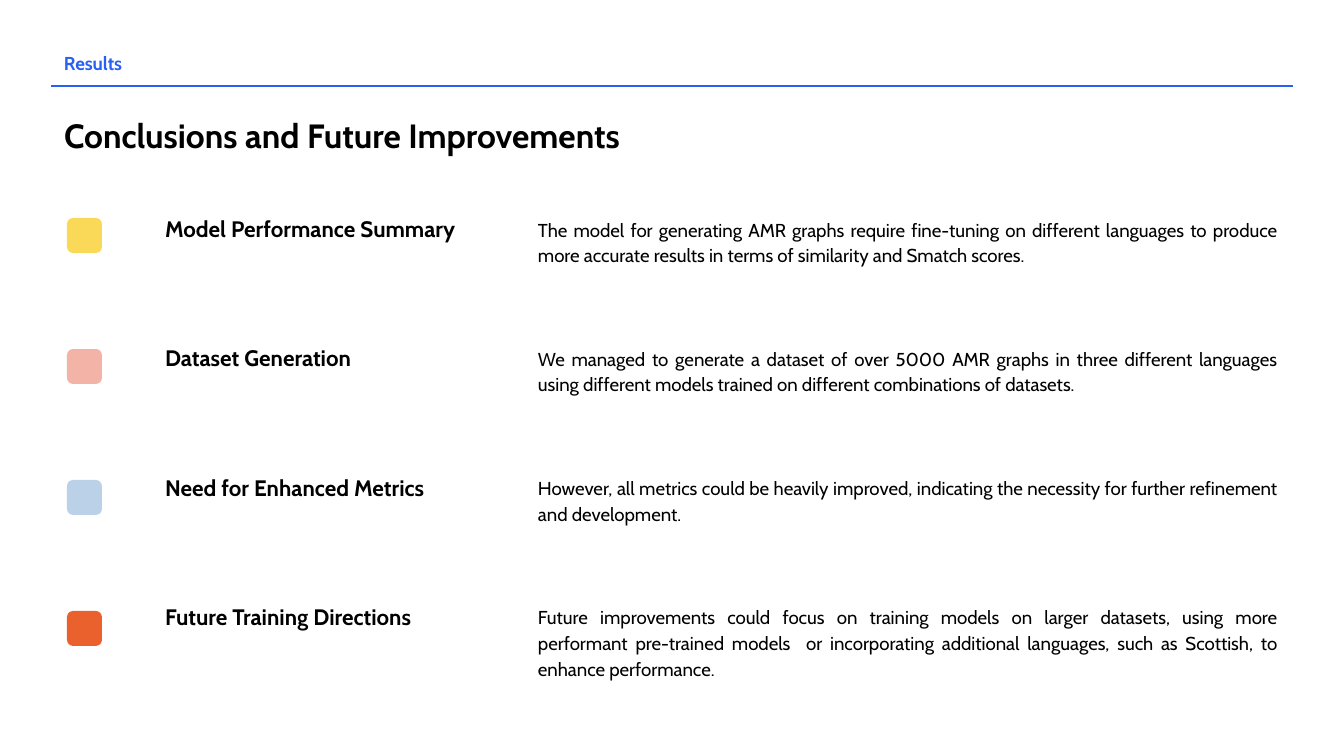
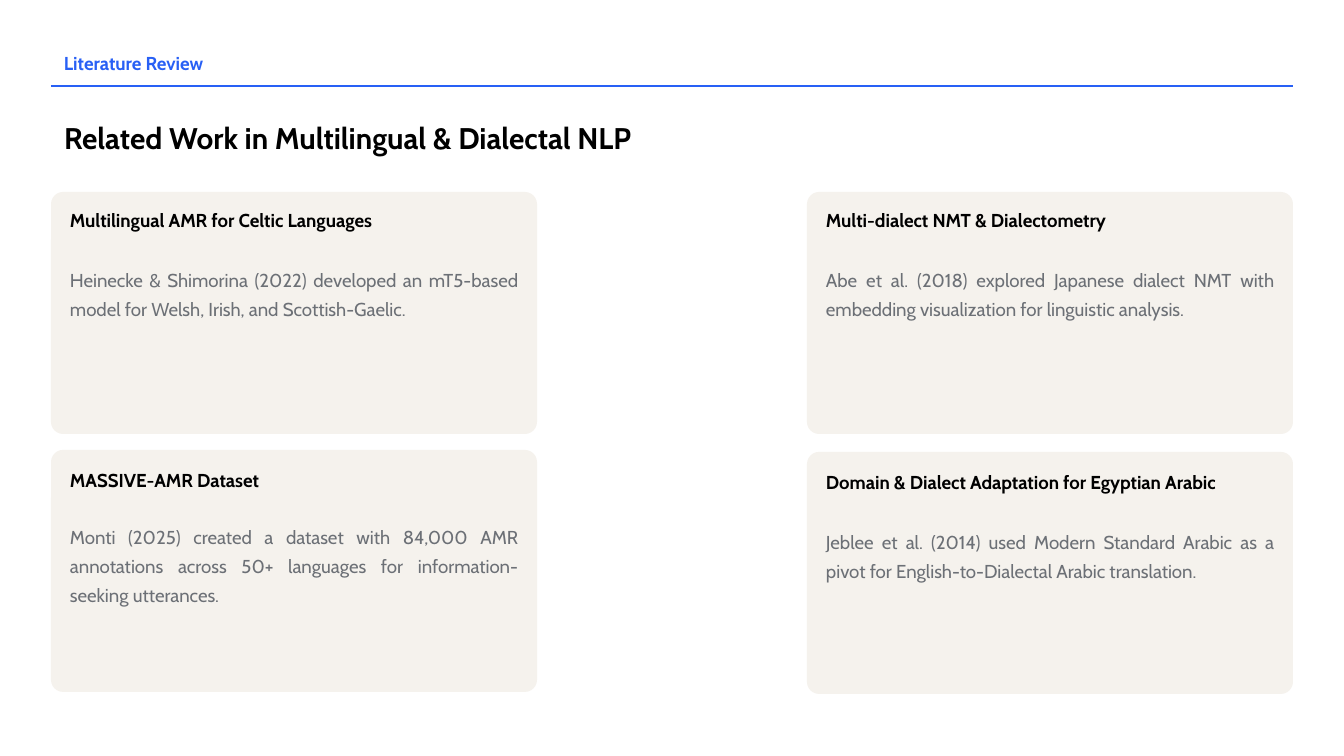
from dataclasses import dataclass

from lxml.etree import SubElement
from pptx import Presentation
from pptx.dml.color import RGBColor
from pptx.enum.shapes import MSO_CONNECTOR, MSO_SHAPE
from pptx.enum.text import MSO_ANCHOR, PP_ALIGN
from pptx.oxml.ns import qn
from pptx.slide import Slide
from pptx.util import Emu, Pt

SLIDE_WIDTH, SLIDE_HEIGHT = 1344, 756
EMU_PER_PX = 9144000 / SLIDE_WIDTH


def px(length: int) -> Emu:
    return Emu(round(length * EMU_PER_PX))


@dataclass(frozen=True)
class Theme:
    font: str = "Cabin"
    ink: str = "000000"
    accent: str = "2860F5"
    muted: str = "6C7076"
    card: str = "F5F2ED"
    background: str = "FFFFFF"
    title_size: int = 18
    long_title_size: int = 16
    topic_size: int = 12
    text_size: int = 10
    rule_width: float = 0.75


THEME = Theme()


@dataclass(frozen=True)
class Box:
    left: int
    top: int
    width: int
    height: int


@dataclass(frozen=True)
class TextStyle:
    size: int = THEME.text_size
    color: str = THEME.ink
    bold: bool = False
    anchor: MSO_ANCHOR = MSO_ANCHOR.TOP
    align: PP_ALIGN = PP_ALIGN.LEFT
    line_spacing: float = 1.0
    space_after: int = 0
    inset_x: int = 13
    inset_y: int = 13


@dataclass(frozen=True)
class Conclusion:
    color: str
    topic: str
    detail: str


@dataclass(frozen=True)
class RelatedWork:
    left: int
    top: int
    heading_top: int
    summary_top: int
    heading: str
    summary: str


SECTION = TextStyle(color=THEME.accent, bold=True, anchor=MSO_ANCHOR.MIDDLE)
TOPIC = TextStyle(size=THEME.topic_size, bold=True)
DETAIL = TextStyle(align=PP_ALIGN.JUSTIFY, line_spacing=1.15, space_after=10, inset_x=0)
CARD_HEADING = TextStyle(bold=True, anchor=MSO_ANCHOR.MIDDLE, inset_y=0)
SUMMARY = TextStyle(color=THEME.muted, align=PP_ALIGN.JUSTIFY, line_spacing=1.3, space_after=20)

MARGIN = 51
RULE_Y = 86
FIRST_ROW, LAST_ROW = 202, 590
FIRST_MARKER, MARKER_PITCH, MARKER_SIZE = 218, 131, 35
LEFT_CARD, RIGHT_CARD = MARGIN, 807
CARD_PADDING = 6

CONCLUSIONS = [
    Conclusion(
        "F9D957",
        "Model Performance Summary",
        "The model for generating AMR graphs require fine-tuning on different languages "
        "to produce more accurate results in terms of similarity and Smatch scores.",
    ),
    Conclusion(
        "F3B3A6",
        "Dataset Generation",
        "We managed to generate a dataset of over 5000 AMR graphs in three different languages "
        "using different models trained on different combinations of datasets.",
    ),
    Conclusion(
        "BBD1E8",
        "Need for Enhanced Metrics",
        "However, all metrics could be heavily improved, indicating the necessity "
        "for further refinement and development.",
    ),
    Conclusion(
        "EA612D",
        "Future Training Directions",
        "Future improvements could focus on training models on larger datasets, using more "
        "performant pre-trained models  or incorporating additional languages, such as Scottish, "
        "to enhance performance.",
    ),
]

RELATED_WORKS = [
    RelatedWork(
        LEFT_CARD, 192, 195, 249,
        "Multilingual AMR for Celtic Languages",
        "Heinecke & Shimorina (2022) developed an mT5-based model for Welsh, Irish, "
        "and Scottish-Gaelic.",
    ),
    RelatedWork(
        RIGHT_CARD, 192, 195, 249,
        "Multi-dialect NMT & Dialectometry",
        "Abe et al. (2018) explored Japanese dialect NMT with embedding visualization "
        "for linguistic analysis.",
    ),
    RelatedWork(
        LEFT_CARD, 450, 455, 506,
        "MASSIVE-AMR Dataset",
        "Monti (2025) created a dataset with 84,000 AMR annotations across 50+ languages "
        "for information-seeking utterances.",
    ),
    RelatedWork(
        RIGHT_CARD, 452, 457, 511,
        "Domain & Dialect Adaptation for Egyptian Arabic",
        "Jeblee et al. (2014) used Modern Standard Arabic as a pivot "
        "for English-to-Dialectal Arabic translation.",
    ),
]


def add_text(slide: Slide, box: Box, text: str, style: TextStyle) -> None:
    frame = slide.shapes.add_textbox(
        px(box.left), px(box.top), px(box.width), px(box.height)
    ).text_frame
    frame.word_wrap = True
    frame.vertical_anchor = style.anchor
    frame.margin_left = frame.margin_right = px(style.inset_x)
    frame.margin_top = frame.margin_bottom = px(style.inset_y)
    paragraph = frame.paragraphs[0]
    paragraph.alignment = style.align
    paragraph.line_spacing = style.line_spacing
    paragraph.space_after = Pt(style.space_after)
    run = paragraph.add_run()
    run.text = text
    run.font.name = THEME.font
    run.font.size = Pt(style.size)
    run.font.bold = style.bold
    run.font.color.rgb = RGBColor.from_string(style.color)


def add_rounded(slide: Slide, box: Box, color: str, rounding: float) -> None:
    rounded = slide.shapes.add_shape(
        MSO_SHAPE.ROUNDED_RECTANGLE, px(box.left), px(box.top), px(box.width), px(box.height)
    )
    rounded.adjustments[0] = rounding
    rounded.shadow.inherit = False
    rounded.fill.solid()
    rounded.fill.fore_color.rgb = RGBColor.from_string(color)
    rounded.line.fill.background()


def add_header(slide: Slide, section: str, title: str, title_size: int) -> None:
    slide.background.fill.solid()
    slide.background.fill.fore_color.rgb = RGBColor.from_string(THEME.background)
    add_text(slide, Box(MARGIN, 40, 352, 46), section, SECTION)
    rule = slide.shapes.add_connector(
        MSO_CONNECTOR.STRAIGHT, px(MARGIN), px(RULE_Y), px(SLIDE_WIDTH - MARGIN), px(RULE_Y)
    )
    rule.line.color.rgb = RGBColor.from_string(THEME.accent)
    rule.line.width = Pt(THEME.rule_width)
    SubElement(rule._element.spPr, qn("a:effectLst"))
    title_style = TextStyle(
        size=title_size, bold=True, anchor=MSO_ANCHOR.BOTTOM, line_spacing=0.75
    )
    add_text(slide, Box(MARGIN, 101, 891, 67), title, title_style)


def add_conclusion(slide: Slide, index: int, conclusion: Conclusion) -> None:
    row_pitch = (LAST_ROW - FIRST_ROW) / (len(CONCLUSIONS) - 1)
    top = FIRST_ROW + round(index * row_pitch)
    marker_top = FIRST_MARKER + index * MARKER_PITCH
    add_rounded(slide, Box(67, marker_top, MARKER_SIZE, MARKER_SIZE), conclusion.color, 0.17)
    add_text(slide, Box(152, top, 319, 117), conclusion.topic, TOPIC)
    add_text(slide, Box(538, top, 739, 117), conclusion.detail, DETAIL)


def add_related_work(slide: Slide, work: RelatedWork) -> None:
    text_left = work.left + CARD_PADDING
    add_rounded(slide, Box(work.left, work.top, 486, 242), THEME.card, 0.05)
    add_text(slide, Box(text_left, work.heading_top, 474, 50), work.heading, CARD_HEADING)
    add_text(slide, Box(text_left, work.summary_top, 474, 183), work.summary, SUMMARY)


def main() -> None:
    deck = Presentation()
    deck.slide_width, deck.slide_height = px(SLIDE_WIDTH), px(SLIDE_HEIGHT)
    blank = deck.slide_layouts[6]

    results = deck.slides.add_slide(blank)
    add_header(results, "Results", "Conclusions and Future Improvements", THEME.title_size)
    for index, conclusion in enumerate(CONCLUSIONS):
        add_conclusion(results, index, conclusion)

    review = deck.slides.add_slide(blank)
    add_header(
        review,
        "Literature Review",
        "Related Work in Multilingual & Dialectal NLP",
        THEME.long_title_size,
    )
    for work in RELATED_WORKS:
        add_related_work(review, work)

    deck.save("out.pptx")


if __name__ == "__main__":
    main()
